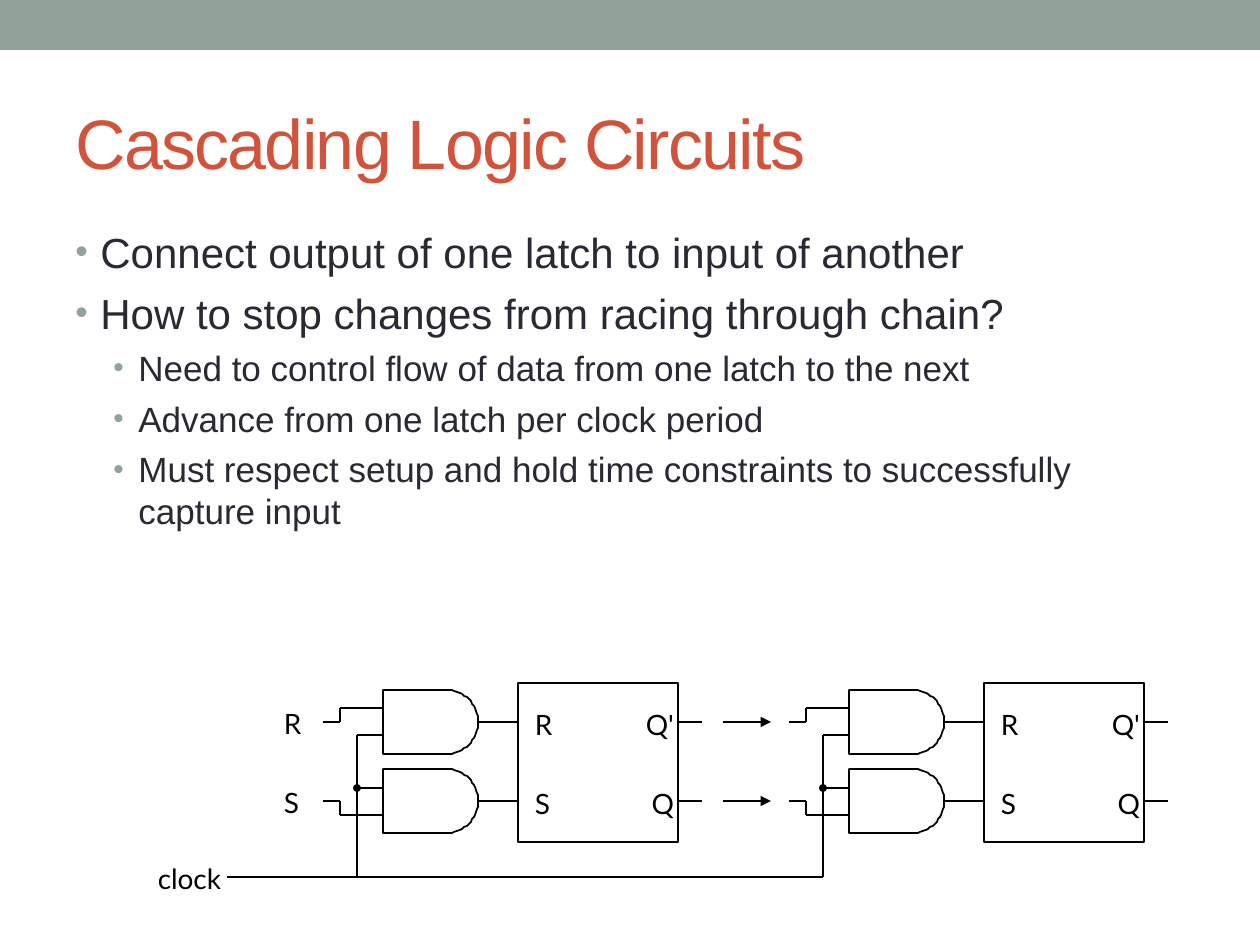
import math
from lxml import etree
from pptx import Presentation
from pptx.dml.color import RGBColor
from pptx.enum.shapes import MSO_CONNECTOR, MSO_SHAPE
from pptx.enum.text import MSO_ANCHOR, PP_ALIGN
from pptx.oxml.ns import qn
from pptx.util import Pt

PX = 914400 / 126
RECT, OVAL = MSO_SHAPE.RECTANGLE, MSO_SHAPE.OVAL
LINE = MSO_CONNECTOR.STRAIGHT
LEFT, RIGHT = PP_ALIGN.LEFT, PP_ALIGN.RIGHT
TOP, MIDDLE = MSO_ANCHOR.TOP, MSO_ANCHOR.MIDDLE
SAGE, RUST, SLATE = "93A299", "D2533C", "292934"
BLACK, WHITE = "000000", "FFFFFF"

ROWS = (722, 801)   # centre lines of the R and S signals
STEP = 466          # distance between the two latch stages
CLOCK = 877         # height of the clock line
POINTS = [
    (0, "Connect output of one latch to input of another"),
    (0, "How to stop changes from racing through chain?"),
    (1, "Need to control flow of data from one latch to the next"),
    (1, "Advance from one latch per clock period"),
    (1, "Must respect setup and hold time constraints to "
        "successfully capture input"),
]
LEVELS = [(24, 25, 6), (20, 63, 5)]  # size, indent, space before


def emu(*vals):
    return [round(v * PX) for v in vals]


def color(text):
    return RGBColor.from_string(text)


def add(parent, tag, **attrs):
    return etree.SubElement(parent, qn(tag), attrs)


class Sheet:
    def __init__(self, slide):
        self.slide = slide
        self.shapes = slide.shapes

    def paint(self, shape, fill, line=BLACK):
        shape.shadow.inherit = False
        shape.fill.solid()
        shape.fill.fore_color.rgb = color(fill)
        if line:
            shape.line.color.rgb = color(line)
            shape.line.width = Pt(1)
        else:
            shape.line.fill.background()

    def shape(self, kind, x, y, w, h, fill, line=BLACK):
        self.paint(self.shapes.add_shape(kind, *emu(x, y, w, h)), fill, line)

    def wire(self, x1, y1, x2, y2, arrow=False):
        wire = self.shapes.add_connector(LINE, *emu(x1, y1, x2, y2))
        wire.line.color.rgb = color(BLACK)
        wire.line.width = Pt(1)
        if arrow:
            add(wire.line._get_or_add_ln(), "a:tailEnd", type="triangle")
        add(wire._element.spPr, "a:effectLst")

    def gate(self, x, y):
        """AND gate: flat left side, half circle on the right."""
        flat, rad = 63, 32
        turns = [math.radians(a) for a in range(-90, 91, 5)]
        arc = [(x + flat + rad * math.cos(t), y + rad * math.sin(t))
               for t in turns]
        form = self.shapes.build_freeform(x, y - rad, scale=PX)
        form.add_line_segments(arc + [(x, y + rad)], close=True)
        self.paint(form.convert_to_shape(), WHITE)

    def frame(self, x, y, w, h, anchor=TOP):
        text = self.shapes.add_textbox(*emu(x, y, w, h)).text_frame
        text.word_wrap = True
        text.vertical_anchor = anchor
        return text

    def style(self, para, size, tone, face="Arial"):
        para.font.size = Pt(size)
        para.font.name = face
        para.font.color.rgb = color(tone)

    def label(self, text, x, y, w, h, align=LEFT, gap=20.8):
        frame = self.frame(x, y, w, h)
        frame.margin_left, frame.margin_right = emu(3, 3)
        frame.margin_top, frame.margin_bottom = emu(4, 4)
        para = frame.paragraphs[0]
        para.text = text
        para.alignment = align
        para.line_spacing = Pt(gap)
        self.style(para, 16, BLACK, "Lato")

    def title(self, text, x, y, w, h):
        para = self.frame(x, y, w, h, MIDDLE).paragraphs[0]
        run = para.add_run()
        run.text = text
        run._r.get_or_add_rPr().set("spc", "-100")
        self.style(para, 40, RUST)

    def bullets(self, items, x, y, w, h):
        frame = self.frame(x, y, w, h)
        for i, (level, text) in enumerate(items):
            para = frame.add_paragraph() if i else frame.paragraphs[0]
            size, left, gap = LEVELS[level]
            para.text = text
            para.level = level
            if i:
                para.space_before = Pt(gap)
            props = para._p.get_or_add_pPr()
            props.set("marL", str(emu(left)[0]))
            props.set("indent", str(emu(-25)[0]))
            tint = add(props, "a:buClr")
            add(tint, "a:srgbClr", val=SAGE)
            add(props, "a:buSzPct", val="85000")
            add(props, "a:buFont", typeface="Arial")
            add(props, "a:buChar", char="•")
            self.style(para, size, SLATE)

    def stage(self, x):
        """Two clocked gates feeding one latch."""
        self.shape(RECT, x + 195, 683, 160, 159, WHITE)
        pins = (("R", "Q'", -1), ("S", "Q", 1))
        for y, (pin, out, side) in zip(ROWS, pins):
            self.gate(x + 60, y)
            # Data input steps away from the clock input
            data, tick = y + 14 * side, y - 13 * side
            self.wire(x, y, x + 17, y)
            self.wire(x + 17, y, x + 17, data)
            self.wire(x + 17, data, x + 60, data)
            self.wire(x + 34, tick, x + 60, tick)
            # Gate and latch outputs
            self.wire(x + 155, y, x + 195, y)
            self.wire(x + 355, y, x + 379, y)
            self.label(pin, x + 209, y - 21, 50, 54)
            self.label(out, x + 278, y - 21, 76, 54, RIGHT)
        # Clock feed with its junction
        self.wire(x + 34, ROWS[0] + 13, x + 34, CLOCK)
        self.shape(OVAL, x + 31, ROWS[1] - 16, 6, 6, BLACK)


def main():
    deck = Presentation()
    deck.slide_width, deck.slide_height = emu(1260, 945)
    sheet = Sheet(deck.slides.add_slide(deck.slide_layouts[6]))

    # Header and text
    sheet.shape(RECT, 0, 0, 1260, 50, SAGE, None)
    sheet.title("Cascading Logic Circuits", 63, 73, 1134, 136)
    sheet.bullets(POINTS, 63, 220, 1134, 672)

    # Latch chain
    for i in range(2):
        sheet.stage(323 + i * STEP)
    for name, y in zip("RS", ROWS):
        sheet.label(name, 281, y - 24, 80, 55, gap=21.8)
        sheet.wire(723, y, 771, y, arrow=True)

    # Clock line
    sheet.label("clock", 94, 853, 130, 55, RIGHT, 21.8)
    sheet.wire(227, CLOCK, 823, CLOCK)

    deck.save("out.pptx")


if __name__ == "__main__":
    main()
